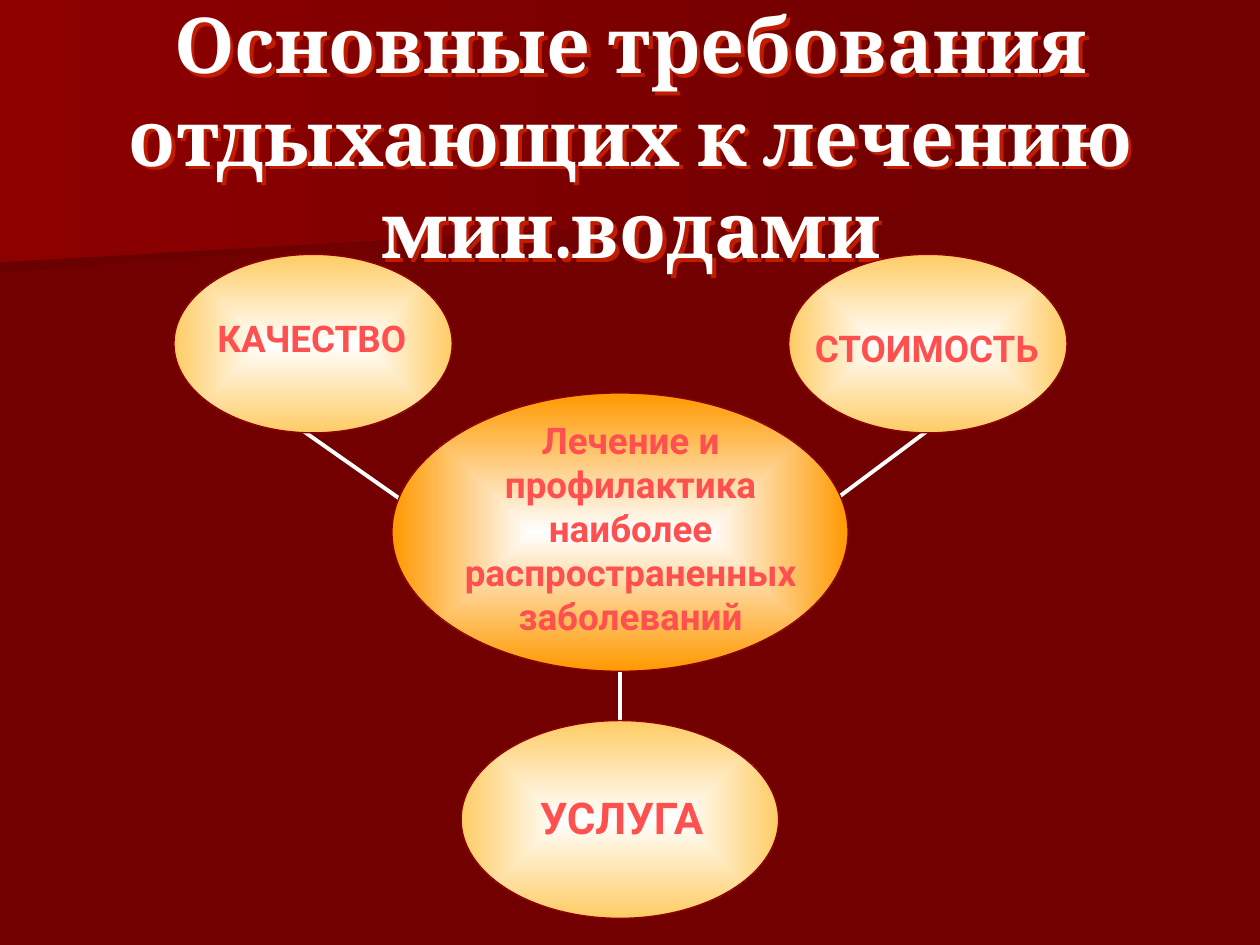
"""Builds a slide on what guests expect from mineral water treatment."""
from lxml import etree
from pptx import Presentation
from pptx.dml.color import RGBColor
from pptx.enum.shapes import MSO_CONNECTOR, MSO_SHAPE
from pptx.enum.text import MSO_ANCHOR, PP_ALIGN
from pptx.oxml import parse_xml
from pptx.oxml.ns import qn
from pptx.util import Pt

OVAL = MSO_SHAPE.OVAL
LINE = MSO_CONNECTOR.STRAIGHT
MID = MSO_ANCHOR.MIDDLE
CENTER = PP_ALIGN.CENTER
NS = 'xmlns:a="http://schemas.openxmlformats.org/drawingml/2006/main"'
HEX = {"back": "720000", "dark": "6B0000", "red": "8C0000", "white": "FFFFFF",
       "sand": "FFCC66", "amber": "FF9900", "coral": "FF5050", "glow": "C01C00"}
RGB = {name: RGBColor.from_string(code) for name, code in HEX.items()}


def blend(shape, first, last):
    shape.shadow.inherit = False
    shape.fill.gradient()
    shape.fill.gradient_angle = 0
    for stop, name in zip(shape.fill.gradient_stops, (first, last)):
        stop.color.rgb = RGB[name]


def write(frame, text, face, size, color):
    frame.word_wrap = True
    frame.vertical_anchor = MID
    par = frame.paragraphs[0]
    par.alignment = CENTER
    run = par.add_run()
    run.text = text
    run.font.name = face
    run.font.size = Pt(size)
    run.font.bold = True
    run.font.color.rgb = RGB[color]


deck = Presentation()
deck.slide_width, deck.slide_height = Pt(720), Pt(540)
slide = deck.slides.add_slide(deck.slide_layouts[5])
slide.background.fill.solid()
slide.background.fill.fore_color.rgb = RGB["back"]
shapes = slide.shapes

bands = [
    ("dark", [(560.2, 110.2), (0, 156.2), (0, 72.7), (560.9, 72.7), (560.2, 92.2)]),
    ("red", [(570.2, 116.6), (0, 149.8), (0, 0), (570.2, 0)]),
]
for color, dots in bands:
    path = shapes.build_freeform(Pt(dots[0][0]), Pt(dots[0][1]))
    path.add_line_segments([(Pt(x), Pt(y)) for x, y in dots[1:]], close=True)
    band = path.convert_to_shape()
    blend(band, color, "back")
    band.line.fill.background()

title = shapes.title
shapes._spTree.append(title._element)
title.left, title.top, title.width, title.height = Pt(36.7), Pt(32.4), Pt(648), Pt(90)
write(title.text_frame, "Основные требования отдыхающих к лечению мин.водами",
      "Cambria", 44, "white")
title._element.spPr.append(parse_xml(
    f'<a:effectLst {NS}><a:outerShdw dist="35921" dir="2700000">'
    f'<a:srgbClr val="{HEX["glow"]}"/></a:outerShdw></a:effectLst>'))

links = [(354.3, 383, 354.3, 423.4), (167, 241.9, 263.5, 309.6), (535.7, 241.9, 445, 309.6)]
for ends in links:
    link = shapes.add_connector(LINE, *map(Pt, ends))
    link.line.color.rgb = RGB["white"]
    link.line.width = Pt(2.25)
    etree.SubElement(link._element.spPr, qn("a:effectLst"))

nodes = [
    ("КАЧЕСТВО", 21, "sand", (99.4, 145.4, 159, 102), (54, 170, 248.4, 46)),
    ("СТОИМОСТЬ", 21, "sand", (450.7, 145.4, 159, 102), (405.4, 175.7, 248.4, 46)),
    ("Лечение и профилактика наиболее распространенных заболеваний", 21, "amber",
     (224, 224.6, 260.6, 159), (201.6, 207.4, 317.5, 188.6)),
    ("УСЛУГА", 25, "sand", (263.5, 411.8, 181.4, 113), (231, 440.6, 248.4, 52.6)),
]
for text, size, color, area, spot in nodes:
    oval = shapes.add_shape(OVAL, *map(Pt, area))
    blend(oval, "white", color)
    oval.line.color.rgb = RGB["red"]
    oval.line.width = Pt(0.75)
    lin = oval._element.spPr.find(".//" + qn("a:lin"))
    lin.getparent().replace(lin, parse_xml(
        f'<a:path {NS} path="rect">'
        '<a:fillToRect l="50000" t="50000" r="50000" b="50000"/></a:path>'))
    label = shapes.add_shape(OVAL, *map(Pt, spot))
    label.shadow.inherit = False
    label.fill.background()
    label.line.fill.background()
    write(label.text_frame, text, "Roboto", size, "coral")

deck.save("out.pptx")
